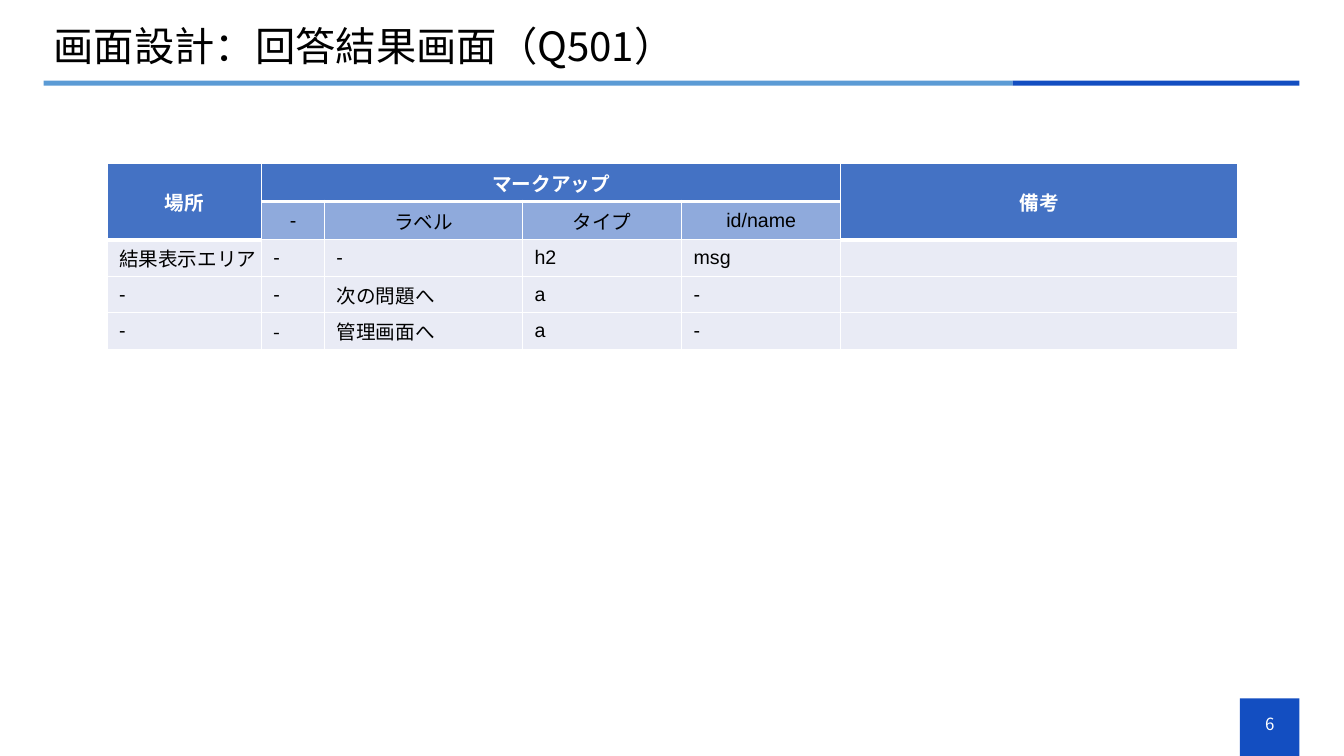
from dataclasses import dataclass

from lxml.etree import SubElement
from pptx import Presentation
from pptx.dml.color import RGBColor
from pptx.enum.shapes import MSO_SHAPE
from pptx.enum.text import MSO_ANCHOR, PP_ALIGN
from pptx.oxml.ns import qn
from pptx.util import Cm, Pt


@dataclass(frozen=True)
class Theme:
    navy: str = "134EC1"
    sky: str = "5B9BD5"
    header: str = "4472C4"
    subheader: str = "8FAADC"
    body: str = "E9EBF5"
    white: str = "FFFFFF"
    black: str = "000000"
    latin: str = "Arial"
    japanese: str = "Noto Sans CJK JP"
    title_size: float = 28.8
    table_size: float = 14
    page_size: float = 12


THEME = Theme()
COLUMN_WIDTHS = (3.89, 1.59, 4.99, 4.01, 4.01, 10)
ROW_HEIGHTS = (0.96, 0.96, 0.92, 0.92, 0.92)
ROWS = (
    ("場所", "マークアップ", "", "", "", "備考"),
    ("", "-", "ラベル", "タイプ", "id/name", ""),
    ("結果表示エリア", "-", "-", "h2", "msg", ""),
    ("-", "-", "次の問題へ", "a", "-", ""),
    ("-", "-", "管理画面へ", "a", "-", ""),
)
JAPANESE_FONT_CELLS = {(0, 1), (4, 1)}
TALL_HEADER_COLUMNS = (0, 5)


def style_paragraph(p, size, color, font=THEME.japanese, bold=False, align=PP_ALIGN.LEFT):
    p.alignment = align
    p.font.size = Pt(size)
    p.font.bold = bold
    p.font.color.rgb = RGBColor.from_string(color)
    p.font.name = font
    # East Asian glyphs need their own typeface entry
    SubElement(p._p.pPr.find(qn("a:defRPr")), qn("a:ea"), typeface=THEME.japanese)


def add_bar(s, left, top, width, height, color):
    sp = s.shapes.add_shape(MSO_SHAPE.RECTANGLE, Cm(left), Cm(top), Cm(width), Cm(height))
    sp.shadow.inherit = False
    sp.fill.solid()
    sp.fill.fore_color.rgb = RGBColor.from_string(color)
    sp.line.fill.background()


def add_text(s, text, left, top, width, height, size, color, align=PP_ALIGN.LEFT):
    tf = s.shapes.add_textbox(Cm(left), Cm(top), Cm(width), Cm(height)).text_frame
    tf.word_wrap = True
    tf.vertical_anchor = MSO_ANCHOR.MIDDLE
    p = tf.paragraphs[0]
    p.text = text
    style_paragraph(p, size, color, align=align)
    return p


def add_border(cell, side, width):
    ln = SubElement(cell._tc.get_or_add_tcPr(), qn(f"a:ln{side}"), w=str(Pt(width)))
    fill = SubElement(ln, qn("a:solidFill"))
    SubElement(fill, qn("a:srgbClr"), val=THEME.white)


def fill_cell(cell, row, col, text):
    main_header = row == 0 or (row == 1 and col in TALL_HEADER_COLUMNS)
    header = row < 2

    # Borders come before the fill in the cell properties
    for side in "LRTB" if row == 0 else "LRB":
        add_border(cell, side, 3 if side == "B" and main_header else 1)
    cell.fill.solid()
    fill = THEME.header if main_header else THEME.subheader if header else THEME.body
    cell.fill.fore_color.rgb = RGBColor.from_string(fill)

    cell.vertical_anchor = MSO_ANCHOR.MIDDLE
    if not header:
        cell.margin_left, cell.margin_right = Cm(0.3), Cm(0)
        cell.margin_top = cell.margin_bottom = Cm(0.1)
    p = cell.text_frame.paragraphs[0]
    if text:
        p.text = text
    else:
        p._p.get_or_add_endParaRPr().set("sz", str(int(THEME.table_size * 100)))
    style_paragraph(
        p,
        THEME.table_size,
        THEME.white if main_header else THEME.black,
        font=THEME.japanese if (row, col) in JAPANESE_FONT_CELLS else THEME.latin,
        bold=main_header,
        align=PP_ALIGN.CENTER if header else PP_ALIGN.LEFT,
    )


def add_markup_table(s, left, top):
    table = s.shapes.add_table(
        len(ROWS), len(COLUMN_WIDTHS), Cm(left), Cm(top),
        Cm(sum(COLUMN_WIDTHS)), Cm(sum(ROW_HEIGHTS)),
    ).table
    table.first_row = table.horz_banding = False
    for column, width in zip(table.columns, COLUMN_WIDTHS):
        column.width = Cm(width)
    for row, height in zip(table.rows, ROW_HEIGHTS):
        row.height = Cm(height)
    for i, texts in enumerate(ROWS):
        for j, text in enumerate(texts):
            fill_cell(table.cell(i, j), i, j, text)

    # Header spans
    for col in TALL_HEADER_COLUMNS:
        table.cell(0, col).merge(table.cell(1, col))
    table.cell(0, 1).merge(table.cell(0, 4))


def main():
    prs = Presentation()
    prs.slide_width, prs.slide_height = Cm(33.87), Cm(19.05)
    s = prs.slides.add_slide(prs.slide_layouts[6])

    # Page number block and title rule
    add_bar(s, 31.25, 17.6, 1.5, 1.45, THEME.navy)
    add_bar(s, 1.1, 2.03, 24.42, 0.13, THEME.sky)
    add_bar(s, 25.52, 2.03, 7.23, 0.13, THEME.navy)

    # Title and page number
    title = add_text(s, "画面設計：回答結果画面（Q501）", 1.1, 0.53, 31.65, 1.4,
                     THEME.title_size, THEME.black)
    title.line_spacing = 0.9
    add_text(s, "6", 31.25, 17.73, 1.5, 1.02, THEME.page_size, THEME.white, PP_ALIGN.CENTER)

    # Markup table
    add_markup_table(s, 2.7, 4.12)

    prs.save("out.pptx")


if __name__ == "__main__":
    main()
